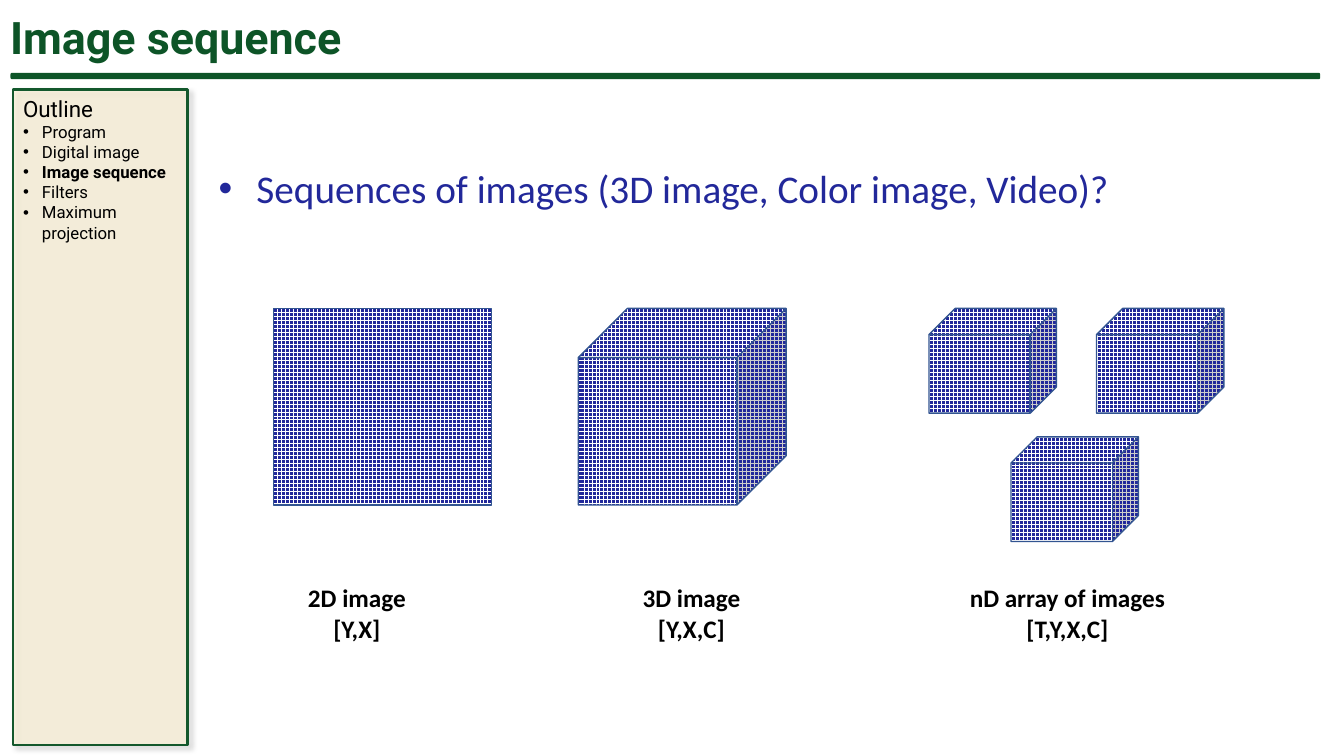
from lxml import etree
from pptx import Presentation
from pptx import util as u
from pptx.dml.color import RGBColor
from pptx.enum import dml, shapes, text
from pptx.oxml import parse_xml
from pptx.oxml.ns import qn

COLORS = {"green": "0D5427", "frame": "13582C", "cream": "FFF2CC", "blue": "22289A",
          "edge": "325491", "black": "000000", "white": "FFFFFF"}
A_NS = "http://schemas.openxmlformats.org/drawingml/2006/main"


def rgb(name):
    return RGBColor.from_string(COLORS[name])


def write(p, words, font="Calibri", size=18, color="black", bold=False, align=None,
          hang=None):
    """Fill a paragraph; hang is the bullet indent in points."""
    p.space_before = u.Pt(0)
    p.alignment = align
    if hang:
        pPr = p._p.get_or_add_pPr()
        pPr.set("marL", str(u.Pt(hang)))
        pPr.set("indent", str(-u.Pt(hang)))
        etree.SubElement(pPr, qn("a:buFont")).set("typeface", "Arial")
        etree.SubElement(pPr, qn("a:buChar")).set("char", "•")
    r = p.add_run()
    r.text = words
    r.font.name, r.font.size, r.font.bold = font, u.Pt(size), bold
    r.font.color.rgb = rgb(color)


class Deck:
    def __init__(self, width, height):
        self.prs = Presentation()
        self.prs.slide_width, self.prs.slide_height = u.Pt(width), u.Pt(height)
        self.s = self.prs.slides.add_slide(self.prs.slide_layouts[1])

    def placeholder(self, sp, box, words, **fmt):
        sp.left, sp.top, sp.width, sp.height = map(u.Pt, box)
        tf = sp.text_frame
        tf.word_wrap = True
        tf.auto_size = text.MSO_AUTO_SIZE.SHAPE_TO_FIT_TEXT
        tf.vertical_anchor = text.MSO_ANCHOR.TOP
        write(tf.paragraphs[0], words, **fmt)

    def textbox(self, box, lines, wrap=True):
        """Add one paragraph for each (words, format) pair."""
        tf = self.s.shapes.add_textbox(*map(u.Pt, box)).text_frame
        tf.word_wrap = wrap
        tf.auto_size = text.MSO_AUTO_SIZE.SHAPE_TO_FIT_TEXT
        for i, (words, fmt) in enumerate(lines):
            write(tf.add_paragraph() if i else tf.paragraphs[0], words, **fmt)

    def shape(self, kind, box, fill, line, weight=1):
        sp = self.s.shapes.add_shape(kind, *map(u.Pt, box))
        sp.shadow.inherit = False
        sp.fill.solid()
        sp.fill.fore_color.rgb = rgb(fill)
        sp.line.color.rgb = rgb(line)
        sp.line.width = u.Pt(weight)
        return sp

    def panel(self, box):
        """Add the half-transparent sidebar with its soft shadow."""
        sp = self.shape(shapes.MSO_SHAPE.RECTANGLE, box, "cream", "frame", 1.75)
        spPr = sp._element.spPr
        tint = spPr.find(qn("a:solidFill")).find(qn("a:srgbClr"))
        etree.SubElement(tint, qn("a:alpha")).set("val", "50000")
        spPr.find(qn("a:effectLst")).append(parse_xml(
            f'<a:outerShdw xmlns:a="{A_NS}" blurRad="{u.Pt(4)}" dist="{u.Pt(3)}" '
            f'dir="2700000" algn="tl" rotWithShape="0"><a:srgbClr val="{COLORS["black"]}">'
            '<a:alpha val="18000"/></a:srgbClr></a:outerShdw>'))

    def pixels(self, kind, box):
        """Add a shape filled with a pixel grid."""
        sp = self.shape(kind, box, "blue", "edge")
        sp.fill.patterned()
        sp.fill.pattern = dml.MSO_PATTERN.LARGE_GRID
        sp.fill.fore_color.rgb = rgb("white")
        sp.fill.back_color.rgb = rgb("blue")
        return sp


def main():
    deck = Deck(960, 540)
    deck.placeholder(deck.s.shapes.title, (0, 3.6, 936, 46), "Image sequence",
                     font="Roboto", size=32, color="green", bold=True,
                     align=text.PP_ALIGN.LEFT)
    deck.placeholder(deck.s.placeholders[1], (149, 113.8, 795, 41),
                     "Sequences of images (3D image, Color image, Video)?",
                     size=28, color="blue", hang=27)

    deck.shape(shapes.MSO_SHAPE.ROUNDED_RECTANGLE, (8, 52.5, 934.5, 3.6), "green", "green")
    deck.panel((9.4, 64.1, 124.6, 468))
    topics = ["Program", "Digital image", "Image sequence", "Filters", "Maximum projection"]
    outline = [("Outline", dict(font="Roboto", size=16))]
    outline += [(topic, dict(font="Roboto", size=12, hang=13.5,
                             bold=topic == "Image sequence")) for topic in topics]
    deck.textbox((9.4, 64.1, 124.6, 131), outline)

    top = 220.3
    flat = deck.pixels(shapes.MSO_SHAPE.ROUND_1_RECTANGLE, (195.6, top, 155.5, 140.4))
    flat.adjustments[0] = 0
    deck.pixels(shapes.MSO_SHAPE.CUBE, (413, top, 148.5, 140.4))
    for left, y in ((663.6, top), (783.2, top), (722.2, 312)):
        deck.pixels(shapes.MSO_SHAPE.CUBE, (left, y, 91, 74.8))

    caption = dict(bold=True, align=text.PP_ALIGN.CENTER)
    for left, width, name, axes, wrap in (
            (212.4, 85, "2D image", "[Y,X]", False),
            (426.2, 135.4, "3D image", "[Y,X,C]", True),
            (666.7, 191.5, "nD array of images", "[T,Y,X,C]", True)):
        deck.textbox((left, 412.6, width, 51), [(name, caption), (axes, caption)], wrap)

    deck.prs.save("out.pptx")


if __name__ == "__main__":
    main()
